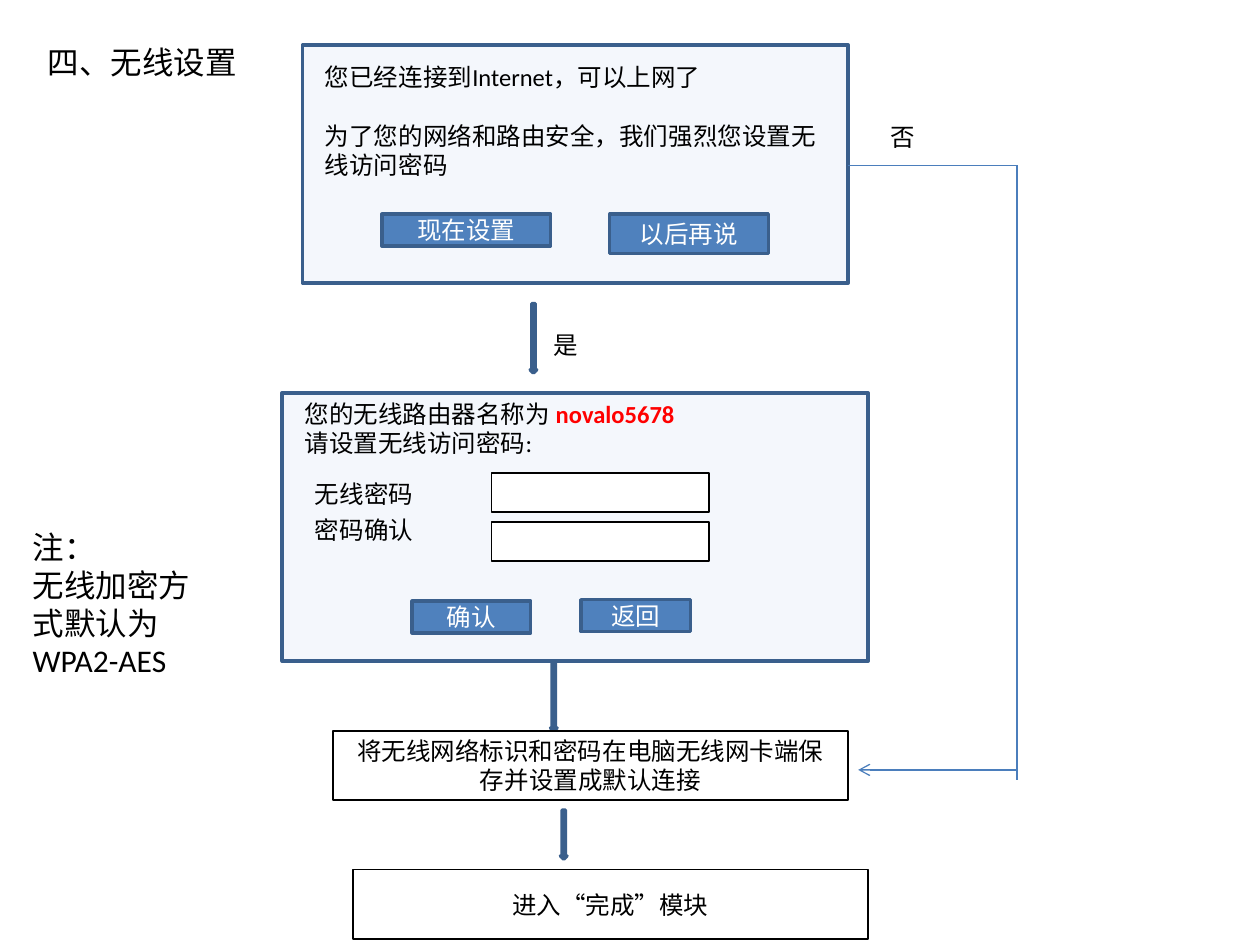
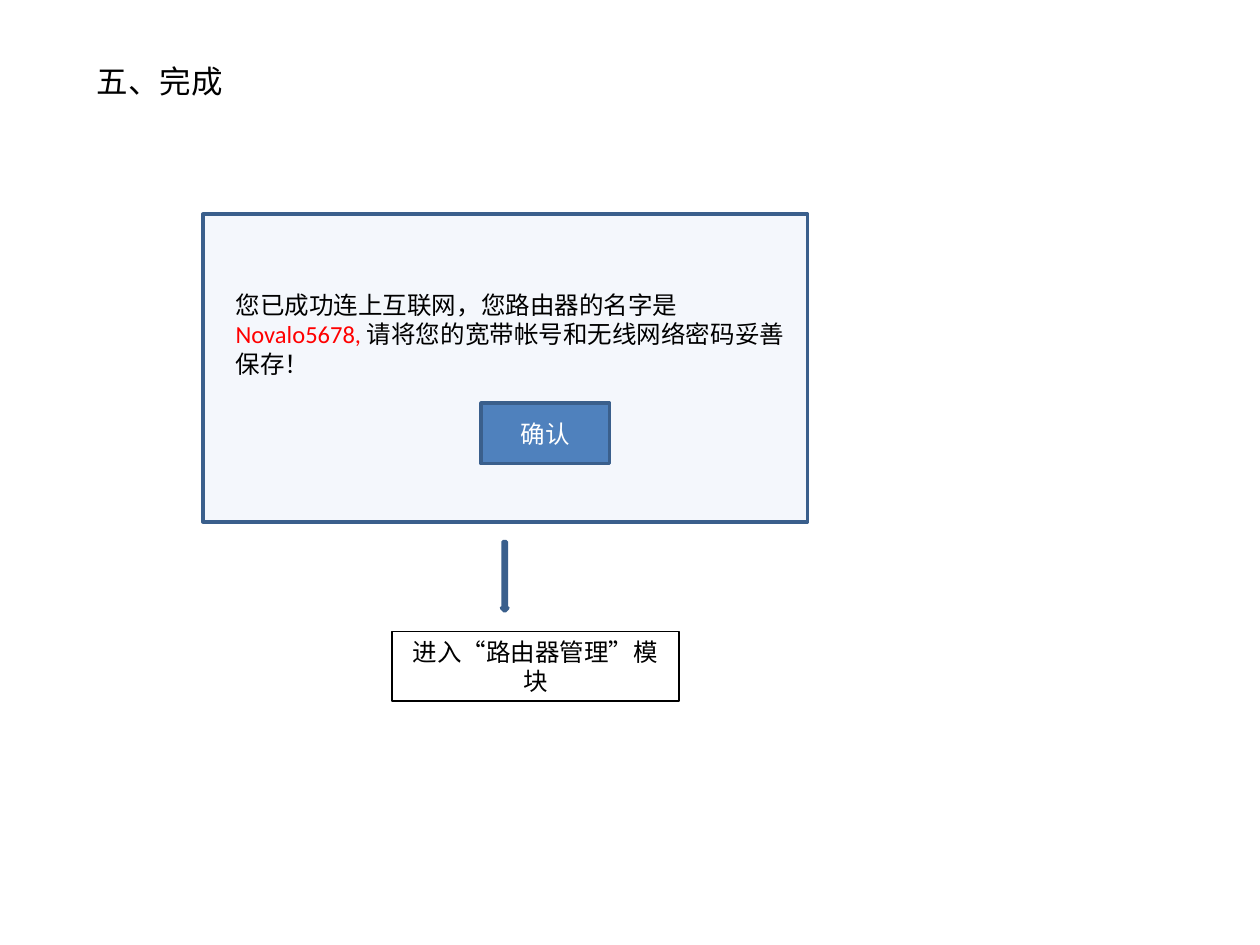
from lxml import etree
from pptx import Presentation
from pptx.dml.color import RGBColor
from pptx.enum.shapes import MSO_CONNECTOR, MSO_SHAPE
from pptx.enum.text import MSO_ANCHOR, MSO_AUTO_SIZE, PP_ALIGN
from pptx.oxml.ns import qn
from pptx.util import Cm, Pt

RECT, PROCESS, DOWN = MSO_SHAPE.RECTANGLE, MSO_SHAPE.FLOWCHART_PROCESS, MSO_SHAPE.DOWN_ARROW
STRAIGHT = MSO_CONNECTOR.STRAIGHT
MIDDLE, GROW = MSO_ANCHOR.MIDDLE, MSO_AUTO_SIZE.SHAPE_TO_FIT_TEXT
LEFT, CENTER = PP_ALIGN.LEFT, PP_ALIGN.CENTER

# Shared look
FONT = "Calibri"
BLACK, WHITE, RED = "000000", "FFFFFF", "FF0000"
BLUE, DARK_BLUE, PALE_BLUE, LINK_BLUE = "4F81BD", "3A5F8C", "C6D9F1", "4B7EBC"
TITLE_SIZE, BODY_SIZE = 18, 14
PANEL_OPACITY = 19

# Shape, fill, outline, outline width, text colour
PANEL = (RECT, PALE_BLUE, DARK_BLUE, 2, BLACK)
BUTTON = (RECT, BLUE, DARK_BLUE, 2, WHITE)
FIELD = (RECT, WHITE, BLACK, 1, BLACK)
STEP = (PROCESS, WHITE, BLACK, 1, BLACK)
ARROW = (DOWN, BLUE, DARK_BLUE, 2, BLACK)
ARROW_WIDTH, STEP_HEIGHT = 0.13, 1.4


def write(frame, paragraphs, size, color, align, gap=0):
    """Each paragraph is a list of runs: (text, own colour or None, bold)."""
    frame.word_wrap = True
    for index, runs in enumerate(paragraphs):
        paragraph = frame.paragraphs[0] if index == 0 else frame.add_paragraph()
        paragraph.alignment = align
        if index:
            paragraph.space_before = Pt(gap)
        for text, own_color, bold in runs:
            run = paragraph.add_run()
            run.text = text
            run.font.name = FONT
            run.font.size = Pt(size)
            run.font.bold = bold
            run.font.color.rgb = RGBColor.from_string(own_color or color)


def add_box(slide, style, at, text=""):
    kind, fill, outline, width, text_color = style
    box = slide.shapes.add_shape(kind, *map(Cm, at))
    box.shadow.inherit = False
    box.fill.solid()
    box.fill.fore_color.rgb = RGBColor.from_string(fill)
    box.line.color.rgb = RGBColor.from_string(outline)
    box.line.width = Pt(width)
    if style is PANEL:
        tint = box.fill._xPr.find(qn("a:solidFill"))[0]
        etree.SubElement(tint, qn("a:alpha"), val=str(PANEL_OPACITY * 1000))
    if text:
        box.text_frame.vertical_anchor = MIDDLE
        write(box.text_frame, [[(text, None, False)]], BODY_SIZE, text_color, CENTER)


prs = Presentation()
prs.slide_width, prs.slide_height = Cm(25.4), Cm(19.05)
blank = prs.slide_layouts[6]
wireless = prs.slides.add_slide(blank)
finish = prs.slides.add_slide(blank)

# Dialog panels
for slide, at in [
    (wireless, (6.1, 0.91, 11, 4.8)),
    (wireless, (5.69, 7.92, 11.81, 5.41)),
    (finish, (4.09, 4.32, 12.19, 6.2)),
]:
    add_box(slide, PANEL, at)

# Password fields
for row in range(2):
    add_box(wireless, FIELD, (9.91, 9.53 + row * 0.99, 4.39, 0.79))

# Buttons
for slide, at, caption in [
    (wireless, (7.7, 4.32, 3.4, 0.64), "现在设置"),
    (wireless, (12.29, 4.32, 3.2, 0.79), "以后再说"),
    (wireless, (8.31, 12.12, 2.39, 0.64), "确认"),
    (wireless, (11.71, 12.09, 2.21, 0.64), "返回"),
    (finish, (9.7, 8.13, 2.59, 1.22), "确认"),
]:
    add_box(slide, BUTTON, at, caption)

# Arrows down the flow
for slide, left, top, height in [
    (wireless, 10.69, 6.12, 1.4),
    (wireless, 11.1, 13.34, 1.4),
    (wireless, 11.3, 16.33, 0.99),
    (finish, 10.11, 10.92, 1.4),
]:
    add_box(slide, ARROW, (left, top, ARROW_WIDTH, height))

# Steps after the dialogs
for slide, left, top, width, step in [
    (wireless, 6.71, 14.73, 10.39, "将无线网络标识和密码在电脑无线网卡端保存并设置成默认连接"),
    (wireless, 7.11, 17.53, 10.39, "进入“完成”模块"),
    (finish, 7.9, 12.73, 5.79, "进入“路由器管理”模块"),
]:
    add_box(slide, STEP, (left, top, width, STEP_HEIGHT), step)

# Titles, dialog wording, labels and note: slide, place, size, gap, paragraphs
for slide, at, size, gap, paragraphs in [
    (wireless, (0.71, 0.74, 9.19, 1.02), TITLE_SIZE, 0, [[("四、无线设置", None, False)]]),
    (finish, (1.7, 1.12, 9.19, 1.02), TITLE_SIZE, 0, [[("五、完成", None, False)]]),
    (wireless, (6.3, 1.12, 10.59, 2.64), BODY_SIZE, 17, [
        [("您已经连接到Internet，可以上网了", None, False)],
        [("为了您的网络和路由安全，我们强烈您设置无线访问密码", None, False)],
    ]),
    (wireless, (5.89, 7.92, 11.81, 1.45), BODY_SIZE, 0, [
        [("您的无线路由器名称为 ", None, False), ("novalo5678", RED, True)],
        [("请设置无线访问密码:", None, False)],
    ]),
    (wireless, (6.1, 9.53, 4.39, 0.86), BODY_SIZE, 0, [[("无线密码", None, False)]]),
    (wireless, (6.1, 10.26, 3.61, 0.86), BODY_SIZE, 0, [[("密码确认", None, False)]]),
    (wireless, (10.9, 6.53, 1.4, 0.86), BODY_SIZE, 0, [[("是", None, False)]]),
    (wireless, (17.7, 2.34, 0.99, 0.86), BODY_SIZE, 0, [[("否", None, False)]]),
    (wireless, (0.41, 10.52, 3.91, 3.33), TITLE_SIZE, 0, [
        [("注：", None, False)],
        [("无线加密方式默认为WPA2-AES", None, False)],
    ]),
    (finish, (4.5, 5.72, 11.81, 2.06), BODY_SIZE, 0, [[
        ("您已成功连上互联网，您路由器的名字是", None, False),
        ("Novalo5678, ", RED, False),
        ("请将您的宽带帐号和无线网络密码妥善保存！", None, False),
    ]]),
]:
    frame = slide.shapes.add_textbox(*map(Cm, at)).text_frame
    write(frame, paragraphs, size, BLACK, LEFT, gap)
    frame.auto_size = GROW

# "No" branch that skips the password dialog
for ends, has_head in [
    ((17.09, 3.33, 20.5, 3.33), False),
    ((20.5, 3.33, 20.5, 15.72), False),
    ((20.5, 15.52, 17.3, 15.52), True),
]:
    branch = wireless.shapes.add_connector(STRAIGHT, *map(Cm, ends))
    branch.line.color.rgb = RGBColor.from_string(LINK_BLUE)
    branch.line.width = Pt(0.75)
    properties = branch._element.spPr
    if has_head:
        etree.SubElement(properties.find(qn("a:ln")), qn("a:tailEnd"), type="arrow")
    etree.SubElement(properties, qn("a:effectLst"))

prs.save("out.pptx")
